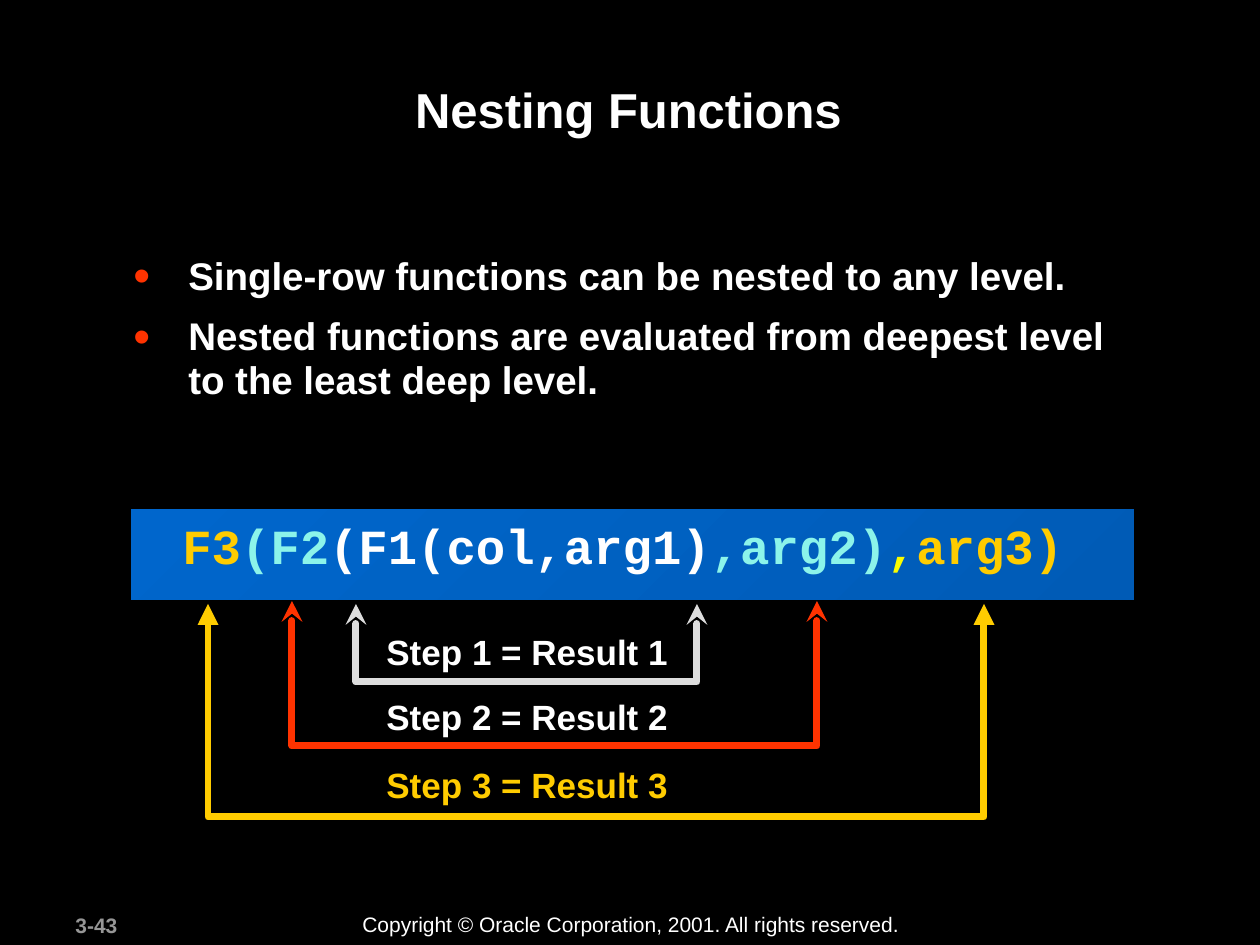
from lxml import etree
from pptx import Presentation
from pptx.dml.color import RGBColor
from pptx.enum.shapes import MSO_SHAPE as Shape
from pptx.enum.text import MSO_ANCHOR as Anchor, MSO_AUTO_SIZE as AutoSize, PP_ALIGN as Align
from pptx.oxml.ns import qn
from pptx.util import Pt

SCALE = 914400 / 126
COLORS = {
    "background": "000000",
    "text": "FFFFFF",
    "page": "969696",
    "bullet": "FF3300",
    "outer": "FFCC00",
    "middle": "8CF4EA",
    "comma": "FAFD00",
    "red": "FF3300",
    "gray": "DDDDDD",
    "bar_dark": "005BB6",
    "bar_light": "0066CC",
}


def px(value):
    return round(value * SCALE)


def color(name):
    return RGBColor.from_string(COLORS[name])


def format_run(run, size, color_name, bold=True, font="Arial"):
    run.font.name = font
    run.font.size = Pt(size)
    run.font.bold = bold
    run.font.color.rgb = color(color_name)


def add_text_box(slide, box, wrap=True):
    frame = slide.shapes.add_textbox(*map(px, box)).text_frame
    frame.word_wrap = wrap
    return frame


def add_label(slide, box, text, size, color_name, bold=True):
    paragraph = add_text_box(slide, box, False).paragraphs[0]
    paragraph.text = text
    format_run(paragraph.runs[0], size, color_name, bold)


def place_title(slide, box, text):
    title = slide.shapes.title
    title.left, title.top, title.width, title.height = map(px, box)
    frame = title.text_frame
    frame.text = text
    frame.auto_size = AutoSize.NONE
    frame.vertical_anchor = Anchor.TOP
    paragraph = frame.paragraphs[0]
    paragraph.alignment = Align.CENTER
    format_run(paragraph.runs[0], 28, "text")


def add_bullet(paragraph):
    properties = paragraph._p.get_or_add_pPr()
    properties.set("marL", str(px(55)))
    properties.set("indent", str(px(-55)))
    bullet_color = etree.SubElement(properties, qn("a:buClr"))
    etree.SubElement(bullet_color, qn("a:srgbClr"), val=COLORS["bullet"])
    etree.SubElement(properties, qn("a:buSzPct"), val="125000")
    etree.SubElement(properties, qn("a:buFont"), typeface="Arial")
    etree.SubElement(properties, qn("a:buChar"), char="•")


def add_bullets(slide, box, lines):
    frame = add_text_box(slide, box)
    for index, line in enumerate(lines):
        paragraph = frame.add_paragraph() if index else frame.paragraphs[0]
        paragraph.text = line
        add_bullet(paragraph)
        paragraph.line_spacing = 0.95
        paragraph.space_before = Pt(9.6 if index else 0)
        format_run(paragraph.runs[0], 22, "text")


def add_code_bar(slide, box, parts):
    left, top, width, height = box
    bar = slide.shapes.add_shape(Shape.RECTANGLE, *map(px, box))
    bar.shadow.inherit = False
    bar.fill.gradient()
    bar.fill.gradient_angle = 135
    for stop, position, name in zip(bar.fill.gradient_stops, (0, 1), ("bar_dark", "bar_light")):
        stop.position = position
        stop.color.rgb = color(name)
    bar.line.color.rgb = color("background")
    bar.line.width = Pt(1)

    frame = add_text_box(slide, (left + 40, top + 22, 906, 52), False)
    paragraph = frame.paragraphs[0]
    paragraph.line_spacing = Pt(22)
    for text, color_name in parts:
        run = paragraph.add_run()
        run.text = text
        format_run(run, 28, color_name, font="Courier New")


def add_bracket(slide, box, color_name, arrowhead):
    left, top, width, height = box
    right, bottom = left + width, top + height
    builder = slide.shapes.build_freeform(left, top, scale=SCALE)
    builder.add_line_segments([(left, bottom), (right, bottom), (right, top)], close=False)
    bracket = builder.convert_to_shape()
    bracket.shadow.inherit = False
    bracket.fill.background()
    bracket.line.color.rgb = color(color_name)
    bracket.line.width = Pt(4)
    line = bracket.line._get_or_add_ln()
    line.set("cap", "rnd")
    etree.SubElement(line, qn("a:round"))
    for end in ("a:headEnd", "a:tailEnd"):
        etree.SubElement(line, qn(end), type=arrowhead)


def add_steps(slide, box):
    left, top, width, height = box
    brackets = [
        (0, 3, 776, 213, "outer", "triangle"),
        (84, 0, 525, 145, "red", "stealth"),
        (148, 3, 341, 78, "gray", "stealth"),
    ]
    for x, y, bracket_width, bracket_height, color_name, arrowhead in brackets:
        bracket_box = (left + x, top + y, bracket_width, bracket_height)
        add_bracket(slide, bracket_box, color_name, arrowhead)
    for step, (y, color_name) in enumerate([(23, "text"), (88, "text"), (156, "outer")], 1):
        label_box = (left + 166, top + y, 307, 54)
        add_label(slide, label_box, f"Step {step} = Result {step}", 20, color_name)


def add_footer(slide, box):
    left, top, width, height = box
    add_label(slide, (left, top + 1, 132, height), "3-43", 12, "page")
    add_label(
        slide,
        (left + 287, top, 564, height),
        "Copyright © Oracle Corporation, 2001. All rights reserved.",
        12,
        "text",
        bold=False,
    )


def main():
    presentation = Presentation()
    presentation.slide_width = px(1260)
    presentation.slide_height = px(945)
    slide = presentation.slides.add_slide(presentation.slide_layouts[5])
    background = slide.background.fill
    background.solid()
    background.fore_color.rgb = color("background")

    place_title(slide, (118, 73, 1021, 121), "Nesting Functions")
    add_bullets(slide, (121, 249, 1018, 161), [
        "Single-row functions can be nested to any level.",
        "Nested functions are evaluated from deepest level to the least deep level.",
    ])
    add_code_bar(slide, (130, 508, 1005, 93), [
        ("F3", "outer"),
        ("(F2", "middle"),
        ("(F1(col,arg1)", "text"),
        (",arg2)", "middle"),
        (",", "comma"),
        ("arg3)", "outer"),
    ])
    add_steps(slide, (208, 601, 776, 216))
    add_footer(slide, (63, 905, 851, 38))
    presentation.save("out.pptx")


if __name__ == "__main__":
    main()
